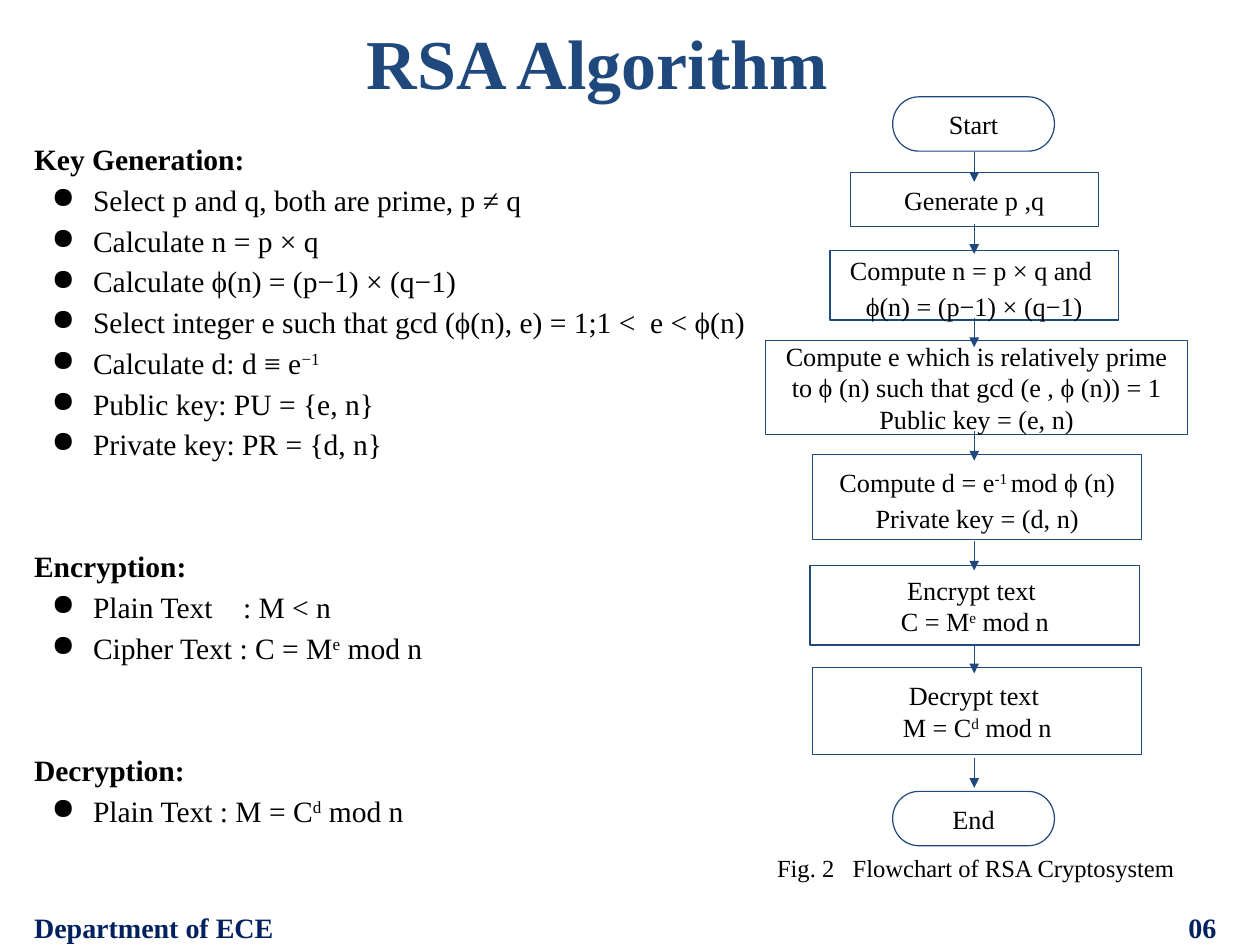
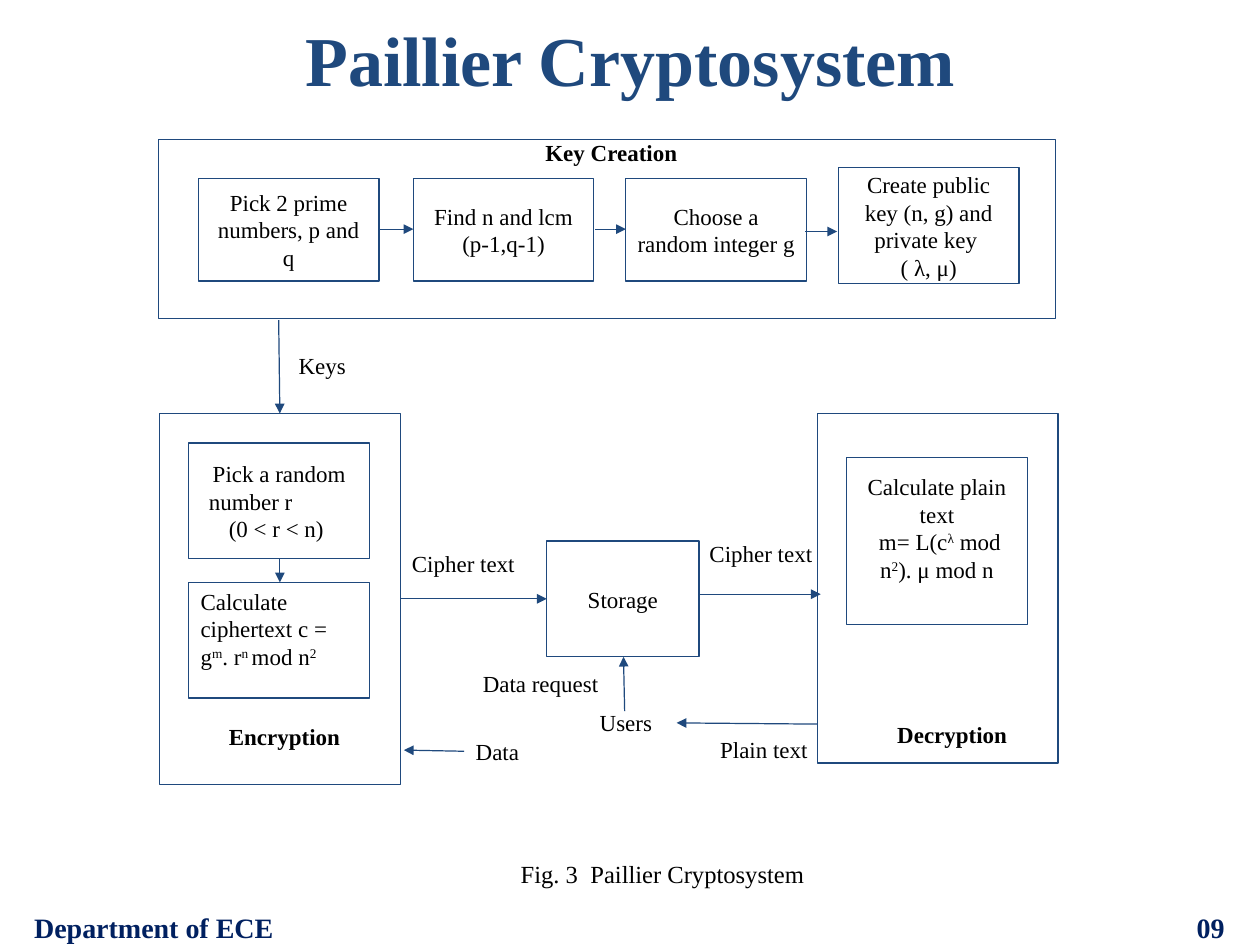
from lxml import etree
from pptx import Presentation
from pptx.dml.color import RGBColor
from pptx.enum.shapes import MSO_CONNECTOR, MSO_SHAPE
from pptx.enum.text import MSO_ANCHOR, PP_ALIGN
from pptx.oxml.ns import qn
from pptx.util import Inches, Pt

BLUE = RGBColor(0x1F, 0x49, 0x7D)
NAVY = RGBColor(0x00, 0x20, 0x60)
BLACK = RGBColor(0, 0, 0)
WHITE = RGBColor(255, 255, 255)
FONT = "Times New Roman"
LEFT, CENTER, RIGHT = PP_ALIGN.LEFT, PP_ALIGN.CENTER, PP_ALIGN.RIGHT
TOP, MIDDLE = MSO_ANCHOR.TOP, MSO_ANCHOR.MIDDLE
RECT, TERMINATOR = MSO_SHAPE.RECTANGLE, MSO_SHAPE.FLOWCHART_TERMINATOR
STRAIGHT = MSO_CONNECTOR.STRAIGHT


def add_text(page, at, lines, size, preset=None, color=BLACK, bold=False, align=LEFT,
             spacing=1.0, inset=0.1, inset_top=None, anchor=TOP, tab=None):
    """Text box, or outlined shape if a preset is given; |x| is superscript."""
    place = [Inches(length) for length in at]
    if preset is None:
        box = page.shapes.add_textbox(*place)
    else:
        box = page.shapes.add_shape(preset, *place)
        box.shadow.inherit = False
        box.fill.solid()
        box.fill.fore_color.rgb = WHITE
        box.line.color.rgb = BLUE
        box.line.width = Pt(0.75)
    frame = box.text_frame
    frame.word_wrap = True
    frame.vertical_anchor = anchor
    frame.margin_left = frame.margin_right = frame.margin_bottom = Inches(inset)
    frame.margin_top = Inches(inset if inset_top is None else inset_top)
    for index, line in enumerate(lines):
        para = frame.add_paragraph() if index else frame.paragraphs[0]
        para.alignment = align
        para.line_spacing = spacing
        para.font.name = FONT
        para.font.size = Pt(size)
        para.font.bold = bold
        para.font.color.rgb = color
        for part, words in enumerate(line.split("|")):
            if words:
                span = para.add_run()
                span.text = words
                if part % 2:
                    span._r.get_or_add_rPr().set("baseline", "30000")
        if tab and "\t" in line:
            stops = etree.SubElement(para._p.get_or_add_pPr(), qn("a:tabLst"))
            etree.SubElement(stops, qn("a:tab"), pos=str(Inches(tab)), algn="l")
    return box


def add_arrow(page, x1, y1, x2, y2):
    arrow = page.shapes.add_connector(STRAIGHT, Inches(x1), Inches(y1), Inches(x2), Inches(y2))
    arrow.line.color.rgb = BLUE
    arrow.line.width = Pt(0.75)
    etree.SubElement(arrow.line._get_or_add_ln(), qn("a:tailEnd"), type="triangle")
    etree.SubElement(arrow._element.spPr, qn("a:effectLst"))


deck = Presentation()
deck.slide_width = Inches(10.67)
deck.slide_height = Inches(8)

# Title, footer and caption of both slides
pages = []
for title, title_center, title_top, number, number_right, caption, caption_at, caption_tab in [
    ("RSA Algorithm", 5.06, 0.02, "06", 10.3,
     "Fig. 2\tFlowchart of RSA Cryptosystem", (6.58, 7.17, 3.79, 0.3), 0.64),
    ("Paillier Cryptosystem", 5.34, 0, "09", 10.37,
     "Fig. 3\tPaillier Cryptosystem", (4.41, 7.22, 6.26, 0.3), 0.59),
]:
    page = deck.slides.add_slide(deck.slide_layouts[6])
    add_text(page, (title_center - 5, title_top, 10, 0.72), [title], 42.7,
             color=BLUE, bold=True, align=CENTER, spacing=1.2, inset=0)
    add_text(page, (number_right - 1, 7.65, 1, 0.32), [number], 17.1,
             color=NAVY, bold=True, align=RIGHT, spacing=1.2, inset=0)
    add_text(page, (0.29, 7.65, 4.84, 0.32), ["Department of ECE"], 17.1,
             color=NAVY, bold=True, spacing=1.2, inset=0)
    add_text(page, caption_at, [caption], 15, spacing=1.2, inset=0, tab=caption_tab)
    pages.append(page)
rsa, paillier = pages

# RSA: the steps in words
steps = add_text(rsa, (0.19, 1.05, 6.3, 6.2), [
    "Key Generation:",
    "Select p and q, both are prime, p ≠ q",
    "Calculate n = p × q",
    "Calculate ϕ(n) = (p−1) × (q−1)",
    "Select integer e such that gcd (ϕ(n), e) = 1;1 <  e < ϕ(n)",
    "Calculate d: d ≡ e|−1|",
    "Public key: PU = {e, n}",
    "Private key: PR = {d, n}",
    "Encryption:",
    "Plain Text\t: M < n",
    "Cipher Text : C = M|e| mod n",
    "Decryption:",
    "Plain Text : M = C|d| mod n",
], 18, spacing=1.15)
for index, para in enumerate(steps.text_frame.paragraphs):
    if para.text.endswith(":"):
        para.font.bold = True
        if index:
            para.space_before = Pt(49.6)
        continue
    props = para._p.get_or_add_pPr()
    props.set("marL", str(Inches(0.5)))
    props.set("indent", str(Inches(-0.35)))
    bullet_color = etree.SubElement(props, qn("a:buClr"))
    etree.SubElement(bullet_color, qn("a:srgbClr"), val=str(BLACK))
    etree.SubElement(props, qn("a:buChar"), char="●")
    if "\t" in para.text:
        stops = etree.SubElement(props, qn("a:tabLst"))
        etree.SubElement(stops, qn("a:tab"), pos=str(Inches(1.77)), algn="l")

# RSA: flowchart
for preset, at, spacing, lines in [
    (TERMINATOR, (7.56, 0.82, 1.37, 0.46), 1, ["Start"]),
    (RECT, (7.2, 1.46, 2.1, 0.46), 1, ["Generate p ,q"]),
    (RECT, (7.03, 2.12, 2.44, 0.59), 1.15, ["Compute n = p × q and ", "ϕ(n) = (p−1) × (q−1)"]),
    (RECT, (6.48, 2.88, 3.58, 0.8), 1,
     ["Compute e which is relatively prime to ϕ (n) such that gcd (e , ϕ (n)) = 1",
      "Public key = (e, n)"]),
    (RECT, (6.88, 3.85, 2.79, 0.72), 1.15,
     ["Compute d = e|-1 |mod ϕ (n)", "Private key = (d, n)"]),
    (RECT, (6.86, 4.79, 2.79, 0.67), 1, ["Encrypt text ", "C = M|e| mod n"]),
    (RECT, (6.88, 5.65, 2.79, 0.74), 1, ["Decrypt text ", "M = C|d| mod n"]),
    (TERMINATOR, (7.56, 6.7, 1.37, 0.46), 1, ["End"]),
]:
    add_text(rsa, at, lines, 16, preset, align=CENTER, spacing=spacing, anchor=MIDDLE)
for start in (1.29, 1.9, 2.69, 3.65, 4.58, 5.45, 6.42):
    add_arrow(rsa, 8.25, start, 8.25, start + 0.25)

# Paillier: frames of the three stages
for frame_at in [(1.34, 1.18, 7.6, 1.52), (1.35, 3.5, 2.04, 3.14), (6.92, 3.5, 2.04, 2.96)]:
    add_text(paillier, frame_at, [], 14, RECT)

# Paillier: centred boxes
for at, lines in [
    ((1.68, 1.51, 1.53, 0.87), ["Pick 2 prime numbers, p and q"]),
    ((3.5, 1.51, 1.53, 0.87), ["Find n and lcm", "(p-1,q-1)"]),
    ((5.3, 1.51, 1.53, 0.87), ["Choose a random integer g"]),
    ((7.1, 1.42, 1.53, 0.98), ["Create public key (n, g) and private key ", "( λ, μ)"]),
    ((4.63, 4.58, 1.29, 0.98), ["Storage"]),
]:
    add_text(paillier, at, lines, 14, RECT, align=CENTER, anchor=MIDDLE)
random_pick = add_text(paillier, (1.6, 3.75, 1.53, 0.98),
                       ["Pick a random", "number r", "(0 < r < n) "], 14, RECT,
                       align=CENTER, anchor=MIDDLE)
number_line = random_pick.text_frame.paragraphs[1]
number_line.alignment = LEFT
number_line._p.get_or_add_pPr().set("marL", str(Inches(0.07)))

# Paillier: boxes filled from the top
add_text(paillier, (1.6, 4.93, 1.53, 0.98), ["Calculate ciphertext c = g|m|. r|n |mod n|2|"],
         14, RECT, inset_top=0.04)
add_text(paillier, (7.17, 3.87, 1.53, 1.42),
         ["Calculate plain text", " m= L(c|λ| mod n|2|). μ mod n"],
         14, RECT, align=CENTER, inset_top=0.13)

# Paillier: arrows
for ends in [
    (3.22, 1.94, 3.5, 1.94), (5.04, 1.94, 5.3, 1.94), (6.82, 1.96, 7.09, 1.96),
    (2.36, 2.71, 2.37, 3.5), (2.37, 4.73, 2.37, 4.93), (3.39, 5.07, 4.63, 5.07),
    (5.93, 5.03, 6.95, 5.03), (6.92, 6.13, 5.73, 6.12), (5.29, 6.02, 5.28, 5.56),
    (3.93, 6.36, 3.42, 6.35),
]:
    add_arrow(paillier, *ends)

# Paillier: labels
for label, left, top, width, bold in [
    ("Key Creation", 4.52, 1.07, 1.53, True),
    ("Encryption", 1.84, 6.02, 1.3, True),
    ("Decryption", 7.5, 6, 1.3, True),
    ("Keys", 2.43, 2.88, 0.99, False),
    ("Cipher text", 3.39, 4.55, 1.24, False),
    ("Cipher text", 5.91, 4.47, 1.14, False),
    ("Data request", 3.99, 5.57, 1.44, False),
    ("Users", 4.98, 5.9, 0.81, False),
    ("Plain text", 6, 6.13, 1.02, False),
    ("Data", 3.93, 6.14, 0.69, False),
]:
    add_text(paillier, (left, top, width, 0.44), [label], 14, bold=bold)

deck.save("out.pptx")
